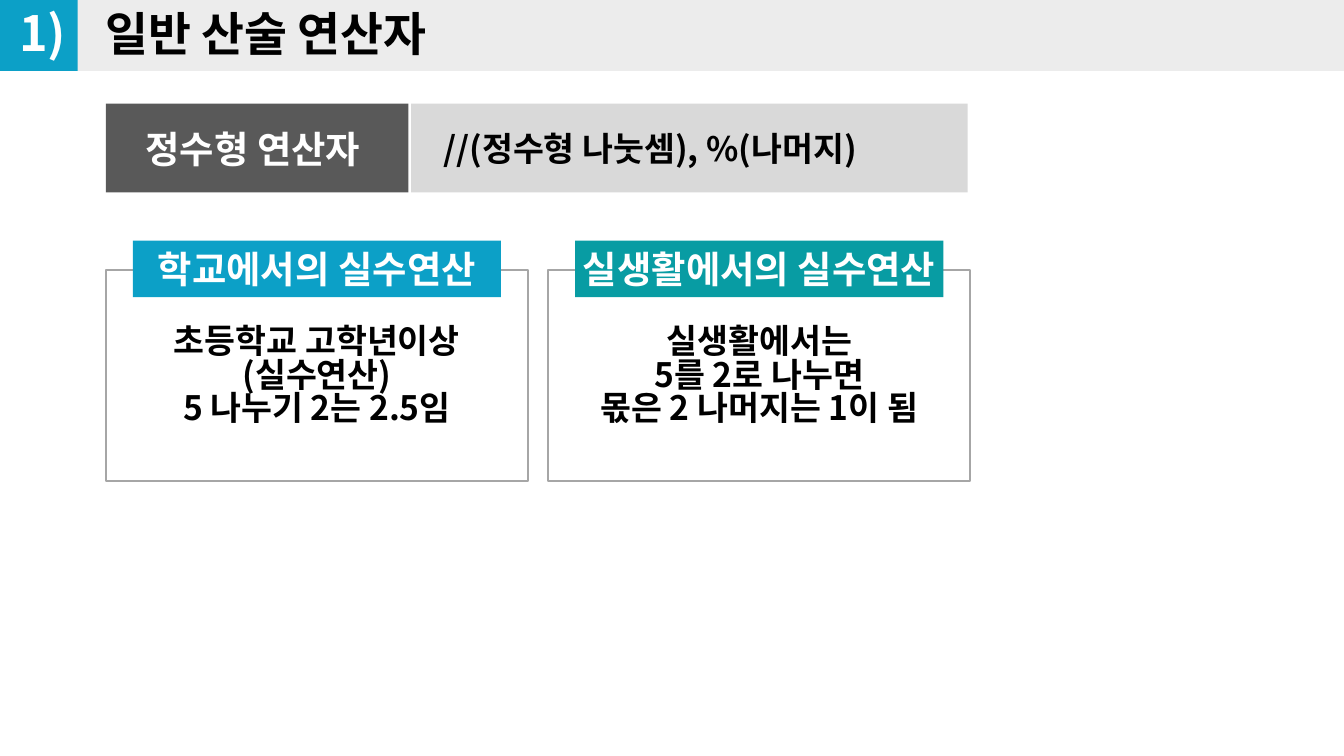
from lxml.etree import SubElement
from pptx import Presentation
from pptx.dml.color import RGBColor
from pptx.enum.shapes import MSO_SHAPE
from pptx.enum.text import MSO_ANCHOR, PP_ALIGN
from pptx.oxml.ns import qn
from pptx.util import Cm, Pt

FONT = "Noto Sans CJK KR"
BLACK = RGBColor(0x00, 0x00, 0x00)
WHITE = RGBColor(0xFF, 0xFF, 0xFF)
BLUE = RGBColor(0x0C, 0xA0, 0xC7)
TEAL = RGBColor(0x08, 0x9C, 0xA3)
PALE_GRAY = RGBColor(0xEC, 0xEC, 0xEC)
LIGHT_GRAY = RGBColor(0xD9, 0xD9, 0xD9)
BORDER_GRAY = RGBColor(0xA6, 0xA6, 0xA6)
DARK_GRAY = RGBColor(0x59, 0x59, 0x59)

# Content
NUMBER = "1)"
TITLE = "일반 산술 연산자"
OPERATOR_LABEL = "정수형 연산자 "
OPERATORS = "//(정수형 나눗셈), %(나머지)"
CARDS = [
    ("학교에서의 실수연산", BLUE,
     ["초등학교 고학년이상", "(실수연산)", "5 나누기 2는 2.5임"]),
    ("실생활에서의 실수연산", TEAL,
     ["실생활에서는", "5를 2로 나누면", "몫은 2 나머지는 1이 됨"]),
]

# Layout in centimetres
LEFT = 2.0
CARD_WIDTH, CARD_HEIGHT, CARD_TOP, CARD_PITCH = 7.98, 3.99, 5.11, 8.36
TAB_WIDTH, TAB_HEIGHT, TAB_TOP = 6.96, 1.07, 4.55
TIGHT = 0.83


def add_box(page, place, fill, line=None):
    box = page.shapes.add_shape(MSO_SHAPE.RECTANGLE, *map(Cm, place))
    box.shadow.inherit = False
    box.fill.solid()
    box.fill.fore_color.rgb = fill
    if line is None:
        box.line.fill.background()
    else:
        box.line.color.rgb = line
        box.line.width = Pt(1)
    return box


def write(box, text, size, color, align=PP_ALIGN.CENTER, anchor=MSO_ANCHOR.MIDDLE,
          insets=(0.25, 0.13), spacing=1.0, wrap=True):
    """Fill a box with text; insets are the side and the top."""
    frame = box.text_frame
    frame.text = text
    frame.word_wrap = wrap
    frame.vertical_anchor = anchor
    side, top = insets
    frame.margin_left = frame.margin_right = Cm(side)
    frame.margin_top = Cm(top)
    frame.margin_bottom = Cm(0.13)
    for para in frame.paragraphs:
        para.alignment = align
        para.line_spacing = spacing
        for span in para.runs:
            span.font.size = Pt(size)
            span.font.bold = True
            span.font.name = FONT
            span.font.color.rgb = color
            # Hangul takes its font from the East Asian slot
            SubElement(span.font._element, qn("a:ea")).set("typeface", FONT)


deck = Presentation()
deck.slide_width, deck.slide_height = Cm(25.4), Cm(14.29)
page = deck.slides.add_slide(deck.slide_layouts[6])

# Header band with number and title
add_box(page, (1.45, -0.03, 23.95, 1.37), PALE_GRAY)
add_box(page, (-0.03, -0.03, 1.5, 1.37), BLUE)
for text, place, size, color, align in [
    (TITLE, (1.63, 0, 22.66, 1.42), 25, BLACK, PP_ALIGN.LEFT),
    (NUMBER, (-0.03, -0.03, 1.68, 1.47), 26, WHITE, PP_ALIGN.CENTER),
]:
    write(page.shapes.add_textbox(*map(Cm, place)), text, size, color, align,
          MSO_ANCHOR.TOP, (0.36, 0.27), TIGHT)

# Operator row
write(add_box(page, (LEFT, 1.96, 5.72, 1.68), DARK_GRAY),
      OPERATOR_LABEL, 20, WHITE)
write(add_box(page, (7.77, 1.96, 10.52, 1.68), LIGHT_GRAY),
      OPERATORS, 18, BLACK, PP_ALIGN.LEFT, insets=(0.61, 0.13))

# Cards, each with a tab centred on its upper edge
for index, (heading, color, lines) in enumerate(CARDS):
    left = LEFT + index * CARD_PITCH
    card = add_box(page, (left, CARD_TOP, CARD_WIDTH, CARD_HEIGHT), WHITE, BORDER_GRAY)
    write(card, "\v".join(lines), 18, BLACK, anchor=MSO_ANCHOR.TOP,
          insets=(0.41, 1.07), spacing=TIGHT)
    tab_left = left + (CARD_WIDTH - TAB_WIDTH) / 2
    tab = add_box(page, (tab_left, TAB_TOP, TAB_WIDTH, TAB_HEIGHT), color)
    write(tab, heading, 20, WHITE, wrap=False)

deck.save("out.pptx")
